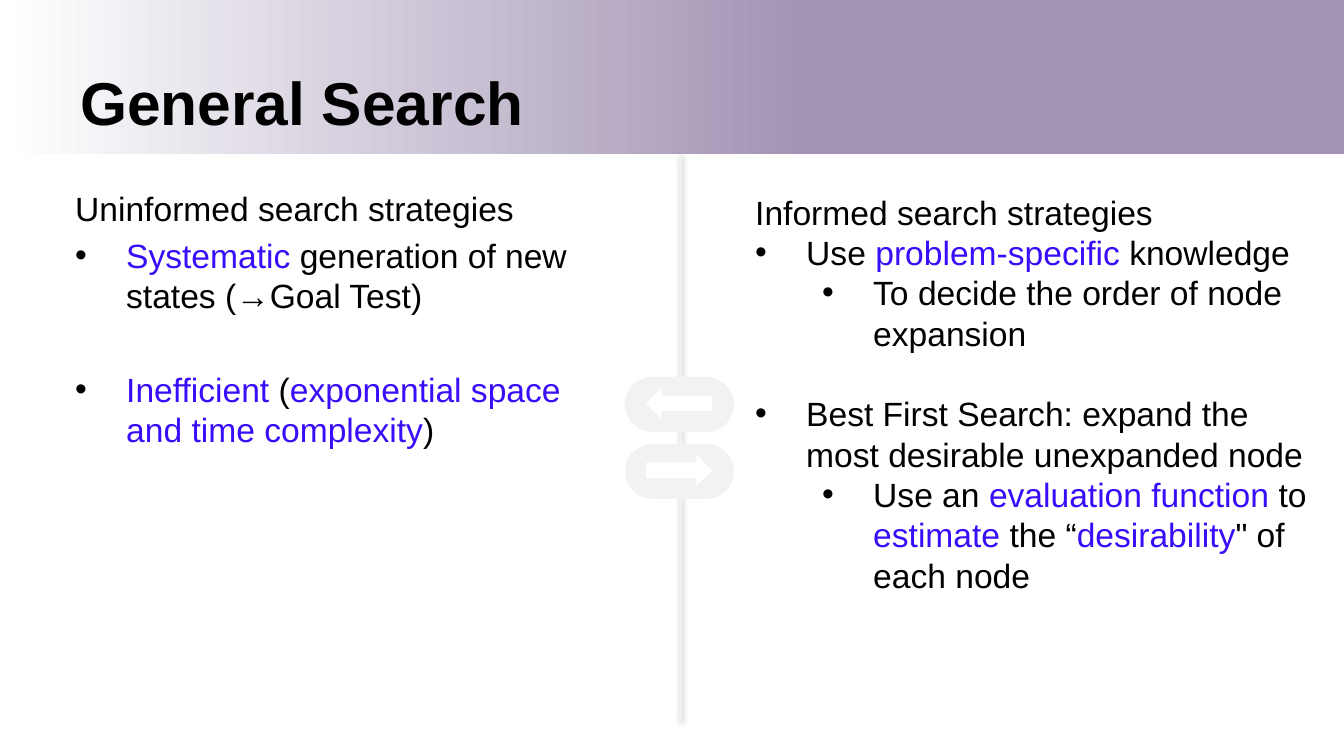
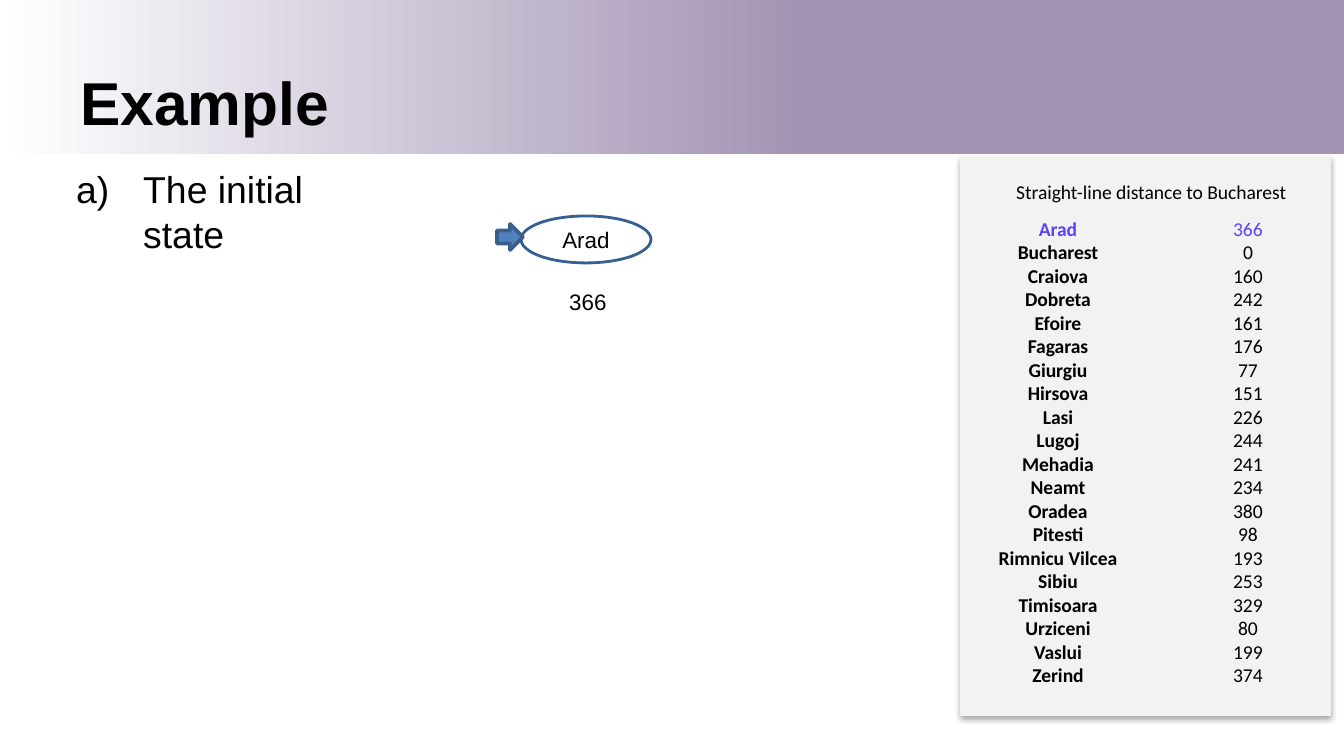
from dataclasses import dataclass

from lxml.etree import SubElement
from pptx import Presentation
from pptx.dml.color import RGBColor as Rgb
from pptx.enum.shapes import MSO_CONNECTOR as Connector, MSO_SHAPE as Shape
from pptx.enum.text import MSO_ANCHOR as Anchor, PP_ALIGN as Align
from pptx.oxml.ns import qn
from pptx.util import Emu, Pt

EMU_PER_PX = 914400 / 134.4
EMU_PER_PT = 12700


def px(length):
    return Emu(round(length * EMU_PER_PX))


def rgb(code):
    return Rgb.from_string(code)


@dataclass(frozen=True)
class Theme:
    sans: str = "Arial"
    table_font: str = "Calibri"
    ink: str = "000000"
    paper: str = "FFFFFF"
    accent: str = "390CFA"
    highlight: str = "5C42FA"
    band: str = "A293B4"
    panel: str = "F2F2F2"
    node: str = "376092"
    arrow: str = "4F81BD"
    arrow_edge: str = "3A5F8C"
    title_size: float = 32.4
    body_size: float = 18
    item_size: float = 20
    table_size: float = 10.5
    node_size: float = 12


class SlideBuilder:
    def __init__(self, deck, theme):
        self.deck = deck
        self.theme = theme
        self.page = None

    def start(self, title):
        theme = self.theme
        self.page = self.deck.slides.add_slide(self.deck.slide_layouts[6])
        band = self.shape(Shape.RECTANGLE, (0, 0, 1344, 154))
        band.fill.gradient()
        band.fill.gradient_angle = 0
        stops = ((0, theme.paper), (0.6, theme.band))
        for stop, (position, color) in zip(band.fill.gradient_stops, stops):
            stop.position = position
            stop.color.rgb = rgb(color)
        self.text((67, 62, 1210, 79), [{"text": title}], theme.title_size,
                  anchor=Anchor.MIDDLE, bold=True)

    def shape(self, kind, frame, fill=None, line=None, width=1):
        shape = self.page.shapes.add_shape(kind, *map(px, frame))
        shape.shadow.inherit = False
        if fill:
            shape.fill.solid()
            shape.fill.fore_color.rgb = rgb(fill)
        else:
            shape.fill.background()
        if line:
            shape.line.color.rgb = rgb(line)
            shape.line.width = Pt(width)
        else:
            shape.line.fill.background()
        return shape

    def line(self, start, end, color, width):
        line = self.page.shapes.add_connector(
            Connector.STRAIGHT, *map(px, start + end))
        line.line.color.rgb = rgb(color)
        line.line.width = Pt(width)
        SubElement(line.element.spPr, qn("a:effectLst"))
        return line

    def shadow(self, shape, opacity, blur, distance):
        effects = shape.element.spPr.find(qn("a:effectLst"))
        outer = SubElement(effects, qn("a:outerShdw"), {
            "blurRad": str(round(blur * EMU_PER_PT)),
            "dist": str(round(distance * EMU_PER_PT)),
            "dir": "5400000", "rotWithShape": "0"})
        color = SubElement(outer, qn("a:srgbClr"), val=self.theme.ink)
        SubElement(color, qn("a:alpha"), val=str(opacity * 1000))

    def text(self, frame, paragraphs, size, **style):
        box = self.page.shapes.add_textbox(*map(px, frame))
        self.fill_text(box, paragraphs, size, **style)

    def fill_text(self, box, paragraphs, size, font=None, bold=False,
                  align=Align.LEFT, anchor=Anchor.TOP):
        frame = box.text_frame
        frame.word_wrap = True
        frame.vertical_anchor = anchor
        for index, item in enumerate(paragraphs):
            para = frame.add_paragraph() if index else frame.paragraphs[0]
            if "indent" in item:
                self.bullet(para, **item["indent"])
            layout = {"alignment": align, "space_before": Pt(item.get("gap", 0))}
            for name, value in layout.items():
                setattr(para, name, value)
            for part, words in enumerate(item["text"].split("*")):
                if not words:
                    continue
                span = para.add_run()
                span.text = words
                formats = {"name": font or self.theme.sans,
                           "size": Pt(size), "bold": bold}
                for name, value in formats.items():
                    setattr(span.font, name, value)
                plain = item.get("color", self.theme.ink)
                span.font.color.rgb = rgb(self.theme.accent if part % 2 else plain)

    def bullet(self, para, left, hang, number=None):
        properties = para._p.get_or_add_pPr()
        properties.set("marL", str(px(left)))
        properties.set("indent", str(px(-hang)))
        color = SubElement(properties, qn("a:buClr"))
        SubElement(color, qn("a:srgbClr"), val=self.theme.ink)
        SubElement(properties, qn("a:buFont"), typeface=self.theme.sans)
        if number:
            SubElement(properties, qn("a:buAutoNum"), type=number)
        else:
            SubElement(properties, qn("a:buChar"), char="•")

    def arrow_button(self, top, kind):
        pill = self.shape(Shape.ROUNDED_RECTANGLE, (625, top, 109, 55),
                          self.theme.panel)
        pill.adjustments[0] = 0.5
        self.shape(kind, (646, top + 11, 66, 31), self.theme.paper)


OUTER = {"left": 51, "hang": 51}
INNER = {"left": 118, "hang": 51}
LETTER = {"left": 67, "hang": 67, "number": "alphaLcParenR"}

UNINFORMED = [
    {"text": "Uninformed search strategies"},
    {"text": "*Systematic* generation of new states (→Goal Test)",
     "indent": OUTER, "gap": 3.6},
    {"text": "*Inefficient *(*exponential space and time complexity*)",
     "indent": OUTER, "gap": 28.8},
]
INFORMED = [
    {"text": "Informed search strategies"},
    {"text": "Use *problem-specific *knowledge", "indent": OUTER},
    {"text": "To decide the order of node expansion", "indent": INNER},
    {"text": "Best First Search: expand the most desirable unexpanded node",
     "indent": OUTER, "gap": 21.6},
    {"text": "Use an *evaluation function *to *estimate* the “*desirability*\" "
             "of each node", "indent": INNER},
]
DISTANCES = {
    "Arad": 366, "Bucharest": 0, "Craiova": 160, "Dobreta": 242,
    "Efoire": 161, "Fagaras": 176, "Giurgiu": 77, "Hirsova": 151,
    "Lasi": 226, "Lugoj": 244, "Mehadia": 241, "Neamt": 234,
    "Oradea": 380, "Pitesti": 98, "Rimnicu Vilcea": 193, "Sibiu": 253,
    "Timisoara": 329, "Urziceni": 80, "Vaslui": 199, "Zerind": 374,
}


def build_general_search(builder):
    theme = builder.theme
    builder.start("General Search")
    builder.text((62, 181, 558, 427), UNINFORMED, theme.body_size)
    builder.text((742, 185, 582, 421), INFORMED, theme.body_size)
    divider = builder.line((681, 154), (681, 719), theme.panel, 0.75)
    builder.shadow(divider, 38, 3.1, 1.6)
    builder.arrow_button(444, Shape.RIGHT_ARROW)
    builder.arrow_button(377, Shape.LEFT_ARROW)


def build_example(builder):
    theme = builder.theme
    start = "Arad"
    builder.start("Example")
    panel = builder.shape(Shape.RECTANGLE, (960, 156, 371, 560), theme.panel)
    builder.shadow(panel, 35, 3.1, 1.8)
    builder.text((1003, 173, 341, 37),
                 [{"text": "Straight-line distance to Bucharest"}],
                 theme.table_size, font=theme.table_font)
    columns = (((972, 210, 172, 520), DISTANCES.keys(), True),
               ((1179, 210, 138, 520), DISTANCES.values(), False))
    for frame, values, bold in columns:
        rows = [{"text": str(value),
                 "color": theme.highlight if city == start else theme.ink}
                for city, value in zip(DISTANCES, values)]
        builder.text(frame, rows, theme.table_size, font=theme.table_font,
                     bold=bold, align=Align.CENTER)
    builder.text((63, 160, 296, 103),
                 [{"text": "The initial state", "indent": LETTER}],
                 theme.item_size)
    node = builder.shape(Shape.OVAL, (521, 216, 130, 47),
                         line=theme.node, width=1.5)
    builder.fill_text(node, [{"text": start}], theme.node_size,
                      align=Align.CENTER, anchor=Anchor.MIDDLE)
    builder.text((556, 282, 109, 40), [{"text": str(DISTANCES[start])}],
                 theme.node_size)
    builder.shape(Shape.RIGHT_ARROW, (497, 224, 26, 26),
                  theme.arrow, theme.arrow_edge, 2)


def main():
    deck = Presentation()
    deck.slide_width, deck.slide_height = px(1344), px(756)
    builder = SlideBuilder(deck, Theme())
    build_general_search(builder)
    build_example(builder)
    deck.save("out.pptx")


if __name__ == "__main__":
    main()
